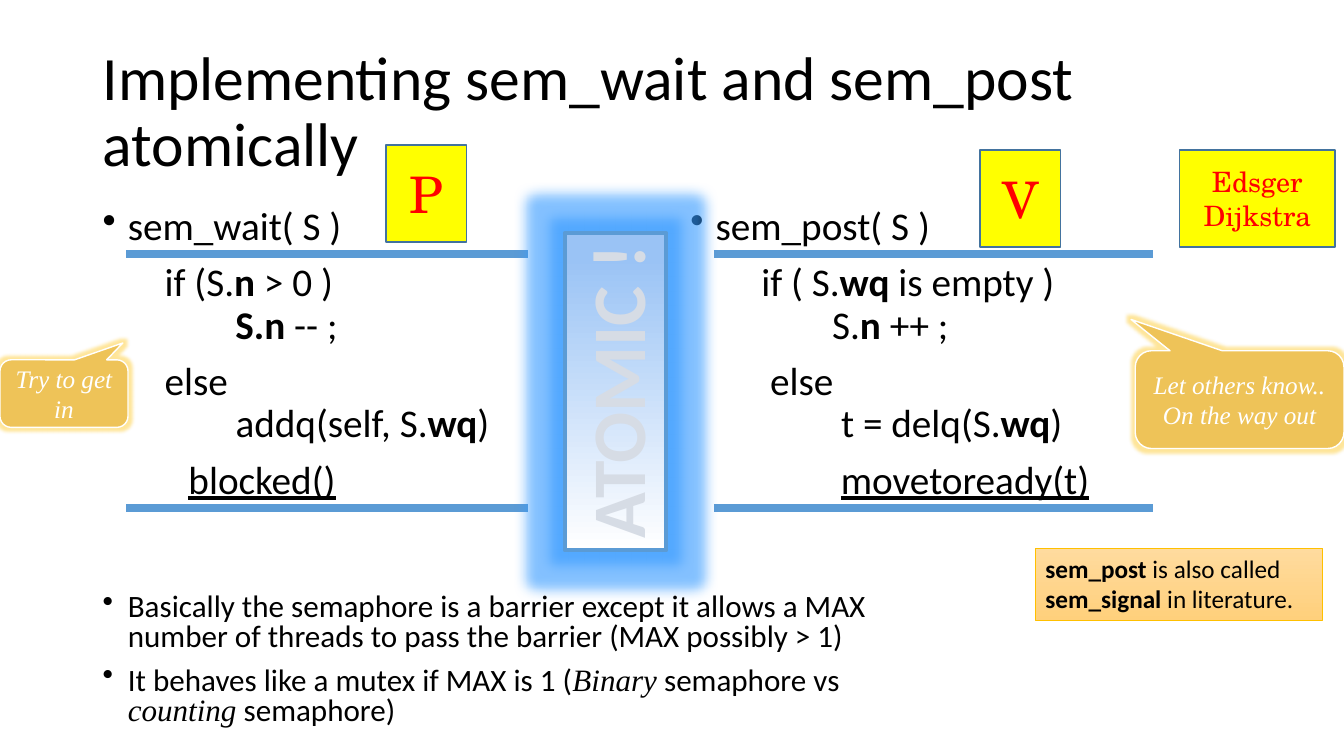
import pptx
import pptx.dml.color
import pptx.enum.shapes
import pptx.enum.text
import pptx.oxml
import pptx.oxml.ns
import pptx.util
from collections import namedtuple
from dataclasses import dataclass

Inches = pptx.util.Inches
Pt = pptx.util.Pt
SHAPE = pptx.enum.shapes.MSO_SHAPE
ALIGN = pptx.enum.text.PP_ALIGN
ANCHOR = pptx.enum.text.MSO_ANCHOR
Box = namedtuple("Box", "left top width height")


@dataclass(frozen=True)
class Theme:
    sans: str = "Calibri"
    serif: str = "Times New Roman"
    school: str = "TeX Gyre Schola"
    black: str = "000000"
    white: str = "FFFFFF"
    rule: str = "5B9BD5"
    barrier_top: str = "9AC3F5"
    barrier_glow: str = "3399FF"
    barrier_text: str = "D6DCE5"
    badge: str = "FFFF00"
    badge_line: str = "43739E"
    badge_text: str = "FF0000"
    note_top: str = "FFDB9E"
    note_bottom: str = "FFD07C"
    gold: str = "FFC000"
    callout: str = "EEC358"
    title_size: float = 44
    code_size: float = 28
    summary_size: float = 22.2
    barrier_size: float = 54
    badge_size: float = 36
    name_size: float = 20
    note_size: float = 18


THEME = Theme()


def rgb(value):
    return pptx.dml.color.RGBColor.from_string(value)


def inches(box):
    return [Inches(length) for length in box]


def bold(text):
    return text, {"bold": True}


def underlined(text):
    return text, {"underline": True}


def serif_italic(text):
    return text, {"italic": True, "name": THEME.serif}


def add_bullet(para):
    properties = para._p.get_or_add_pPr()
    properties.set("marL", str(Inches(0.25)))
    properties.set("indent", str(-Inches(0.25)))
    bullet = pptx.oxml.parse_xml(
        f'<a:buChar {pptx.oxml.ns.nsdecls("a")} char="•"/>')
    properties.append(bullet)


def write(shape, paragraphs, size, font=THEME.sans, color=THEME.black, italic=None,
          align=ALIGN.LEFT, anchor=ANCHOR.TOP, spacing=1.0, before=0, bullets=(), wrap=True):
    """Fill a shape with paragraphs, each a list of plain strings or (text, format) spans."""
    frame = shape.text_frame
    frame.word_wrap = wrap
    frame.vertical_anchor = anchor
    for index, spans in enumerate(paragraphs):
        para = frame.add_paragraph() if index else frame.paragraphs[0]
        if index in bullets:
            add_bullet(para)
        para.alignment = align
        para.line_spacing = spacing
        para.space_before = Pt(before if index else 0)
        for item in spans:
            text, style = (item, {}) if isinstance(item, str) else item
            for number, line in enumerate(text.split("\n")):
                if number:
                    para.add_line_break()
                span = para.add_run()
                span.text = line
                span.font.size = Pt(size)
                span.font.color.rgb = rgb(color)
                for key, value in ({"name": font, "italic": italic} | style).items():
                    setattr(span.font, key, value)


def add_text(page, box, paragraphs, size, **style):
    write(page.shapes.add_textbox(*inches(box)), paragraphs, size, **style)


def add_panel(page, kind, box, fill, line, weight):
    """Add a shape; a list of two (position, colour) stops as fill makes a gradient."""
    panel = page.shapes.add_shape(kind, *inches(box))
    panel.shadow.inherit = False
    if isinstance(fill, str):
        panel.fill.solid()
        panel.fill.fore_color.rgb = rgb(fill)
    else:
        panel.fill.gradient()
        for stop, (position, color) in zip(panel.fill.gradient_stops, fill):
            stop.position = position
            stop.color.rgb = rgb(color)
    panel.line.color.rgb = rgb(line)
    panel.line.width = Pt(weight)
    return panel


def add_glow(shape, color, radius, alpha):
    effects = shape._element.spPr.find(pptx.oxml.ns.qn("a:effectLst"))
    effects.append(pptx.oxml.parse_xml(
        f'<a:glow {pptx.oxml.ns.nsdecls("a")} rad="{Pt(radius)}"><a:srgbClr val="{color}">'
        f'<a:alpha val="{alpha * 1000}"/></a:srgbClr></a:glow>'))


def add_rule(page, left, top, width):
    rule = page.shapes.add_connector(
        pptx.enum.shapes.MSO_CONNECTOR.STRAIGHT,
        Inches(left), Inches(top), Inches(left + width), Inches(top))
    rule.line.color.rgb = rgb(THEME.rule)
    rule.line.width = Pt(6)
    rule._element.spPr.append(
        pptx.oxml.parse_xml(f'<a:effectLst {pptx.oxml.ns.nsdecls("a")}/>'))


def add_badge(page, box, text, size):
    badge = add_panel(page, SHAPE.RECTANGLE, box, THEME.badge, THEME.badge_line, 1)
    write(badge, [[text]], size, font=THEME.school, color=THEME.badge_text,
          align=ALIGN.CENTER, anchor=ANCHOR.MIDDLE)


def add_operation(page, box, code, rule_width, letter, badge_left, badge_top):
    """Place one semaphore operation: its code between two rules, with a letter badge."""
    add_text(page, box, code, THEME.code_size, spacing=0.9, before=10, bullets=(0,))
    for drop in (0.52, 3.04):
        add_rule(page, box.left + 0.33, box.top + drop, rule_width)
    badge = Box(box.left + badge_left, box.top + badge_top, 0.8, 0.96)
    add_badge(page, badge, letter, THEME.badge_size)


def add_barrier(page, box):
    barrier = add_panel(page, SHAPE.RECTANGLE, box,
                        [(0.08, THEME.barrier_top), (1, THEME.white)], THEME.rule, 2.75)
    barrier.fill.gradient_angle = 180
    barrier.rotation = 270
    add_glow(barrier, THEME.barrier_glow, 18, 60)
    write(barrier, [[bold("ATOMIC !")]], THEME.barrier_size,
          color=THEME.barrier_text, align=ALIGN.CENTER, wrap=False)


def add_note(page, box, spans):
    note = add_panel(page, SHAPE.RECTANGLE, box,
                     [(0, THEME.note_top), (1, THEME.note_bottom)], THEME.gold, 0.5)
    note.fill.gradient_angle = 270
    write(note, [spans], THEME.note_size)


def add_callout(page, box, text, tip):
    callout = add_panel(page, SHAPE.ROUNDED_RECTANGULAR_CALLOUT, box,
                        THEME.callout, THEME.white, 1)
    callout.adjustments[0], callout.adjustments[1] = tip
    add_glow(callout, THEME.gold, 5, 40)
    write(callout, [[text]], THEME.note_size, font=THEME.serif, color=THEME.white,
          italic=True, align=ALIGN.CENTER, anchor=ANCHOR.MIDDLE)


def main():
    deck = pptx.Presentation()
    deck.slide_width, deck.slide_height = Inches(13.33), Inches(7.5)
    page = deck.slides.add_slide(deck.slide_layouts[6])

    add_text(page, Box(0.92, 0.4, 11.5, 1.45), [["Implementing sem_wait and sem_post atomically"]],
             THEME.title_size, anchor=ANCHOR.MIDDLE, spacing=0.9)
    wait_code = [
        ["sem_wait( S )"],
        ["       if (S.", bold("n"), " > 0 )\n               ", bold("S.n"), " -- ;"],
        ["       else\n               addq(self, S.", bold("wq"), ")"],
        ["\t    ", underlined("blocked()")],
    ]
    post_code = [
        ["sem_post( S )"],
        ["        if ( S.", bold("wq"), " is empty )\n                S.", bold("n"), " ++ ;"],
        ["         else\n                 t = delq(S.", bold("wq"), ")"],
        ["                 ", underlined("movetoready(t)")],
    ]
    add_operation(page, Box(0.92, 2, 5.67, 4.76), wait_code, 3.99, "P", 2.91, -0.56)
    add_operation(page, Box(6.75, 2, 5.67, 4.76), post_code, 4.36, "V", 2.97, -0.51)
    add_badge(page, Box(11.7, 1.49, 1.54, 0.96), "Edsger Dijkstra", THEME.name_size)
    add_barrier(page, Box(4.53, 3.38, 3.15, 1.01))
    summary = [
        ["Basically the semaphore is a barrier except it allows a MAX number of threads "
         "to pass the barrier (MAX possibly > 1)"],
        ["It behaves like a mutex if MAX is 1 (", serif_italic("Binary"), " semaphore vs ",
         serif_italic("counting"), " semaphore)"],
    ]
    add_text(page, Box(0.92, 5.84, 8.53, 1.45), summary, THEME.summary_size,
             spacing=0.8, before=10, bullets=(0, 1))
    add_note(page, Box(10.27, 5.44, 2.85, 0.71),
             [bold("sem_post"), " is also called ", bold("sem_signal"), " in literature."])
    add_callout(page, Box(0, 3.57, 1.27, 0.67), "Try to get in", (0.46, -0.75))
    add_callout(page, Box(11.26, 3.48, 2.07, 0.97), "Let others know.. On the way out",
                (-0.52, -0.82))
    deck.save("out.pptx")


if __name__ == "__main__":
    main()
